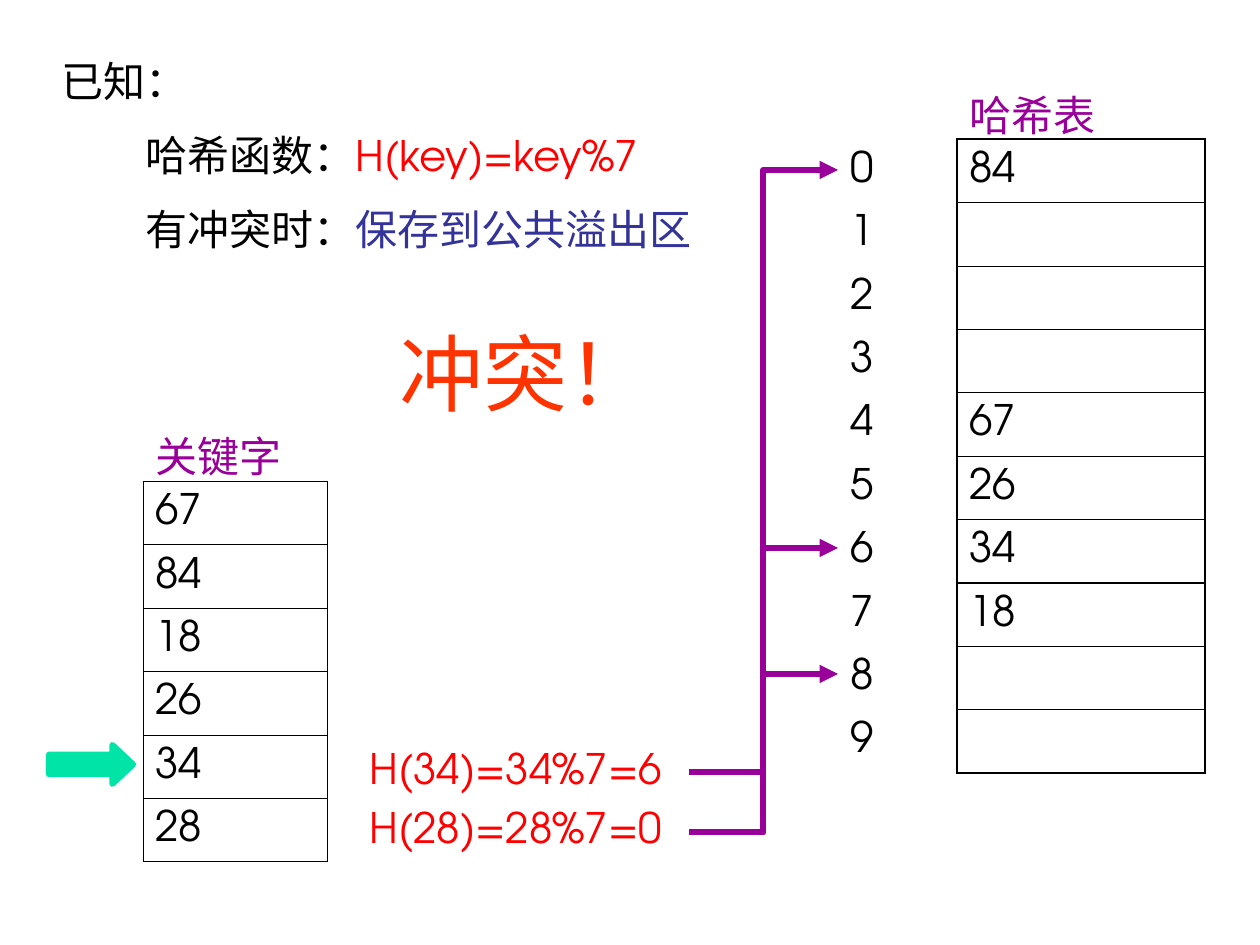
from dataclasses import dataclass, field

from lxml.etree import SubElement
from pptx import Presentation
from pptx.dml.color import RGBColor
from pptx.enum.shapes import MSO_CONNECTOR, MSO_SHAPE
from pptx.enum.text import MSO_ANCHOR, PP_ALIGN
from pptx.oxml.ns import qn
from pptx.util import Emu, Pt

PX_PER_INCH = 126
FONT = "TeX Gyre Adventor"
BLACK = RGBColor(0x00, 0x00, 0x00)
RED = RGBColor(0xFF, 0x00, 0x00)
BLUE = RGBColor(0x33, 0x33, 0x99)
PURPLE = RGBColor(0x99, 0x00, 0x99)
ORANGE = RGBColor(0xFF, 0x33, 0x00)
GREEN = RGBColor(0x00, 0xE4, 0xA8)
THIN, THICK = 0.45, 1.47
ARROW_WIDTH = 3.5


@dataclass
class Label:
    box: tuple[int, int, int, int]
    runs: list[tuple[str, RGBColor]]
    indent: int = 0
    size: int = 24
    align: PP_ALIGN = PP_ALIGN.JUSTIFY
    space_before: int = 15
    anchor: MSO_ANCHOR = MSO_ANCHOR.TOP
    wrap: bool = True


@dataclass
class Cell:
    """Table cell; edges maps L, R, T, B to a width in points, others are unruled."""
    text: str
    edges: dict[str, float] = field(default_factory=dict)
    color: RGBColor = BLACK


@dataclass
class Grid:
    box: tuple[int, int, int, int]
    col_widths: list[int]
    rows: list[list[Cell]]


@dataclass
class Route:
    start_y: int
    end_y: int


KNOWN_LEFT, KNOWN_TOP, KNOWN_STEP = 49, 49, 74
KNOWN = [
    (0, [("已知：", BLACK)]),
    (84, [("哈希函数：", BLACK), ("H(key)=key%7", RED)]),
    (84, [("有冲突时：", BLACK), ("保存到公共溢出区", BLUE)]),
]
CALCULATIONS = [(736, "H(34)=34%7=6"), (795, "H(28)=28%7=0")]
KEYS = ["67", "84", "18", "26", "34", "28"]
HASH_SLOTS = ["84", "", "", "", "67", "26", "34", "18", "", ""]
MODULUS = 7
ROUTES = [Route(772, 548), Route(832, 170), Route(832, 674)]
ROUTE_LEFT, ROUTE_RIGHT = 689, 838


def px(length: float) -> Emu:
    return Emu(round(length * 914400 / PX_PER_INCH))


def format_run(run, size: int, color: RGBColor) -> None:
    run.font.name = FONT
    run.font.size = Pt(size)
    run.font.color.rgb = color


def add_label(slide, label: Label) -> None:
    frame = slide.shapes.add_textbox(*map(px, label.box)).text_frame
    frame.word_wrap = label.wrap
    frame.vertical_anchor = label.anchor
    paragraph = frame.paragraphs[0]
    paragraph.alignment = label.align
    paragraph.space_before = Pt(label.space_before)
    if label.indent:
        paragraph_props = paragraph._p.get_or_add_pPr()
        paragraph_props.set("marL", str(px(label.indent)))
        paragraph_props.set("indent", "0")
    for text, color in label.runs:
        run = paragraph.add_run()
        run.text = text
        format_run(run, label.size, color)


def rule_cell(cell, edges: dict[str, float]) -> None:
    """Draw the given cell borders and blank out the remaining ones."""
    cell_props = cell._tc.get_or_add_tcPr()
    for side in "LRTB":
        width = edges.get(side, 0)
        border = SubElement(cell_props, qn(f"a:ln{side}"), w=str(Pt(width)))
        if width:
            fill = SubElement(border, qn("a:solidFill"))
            SubElement(fill, qn("a:srgbClr"), val=str(BLACK))
        else:
            SubElement(border, qn("a:noFill"))


def add_grid(slide, grid: Grid) -> None:
    table = slide.shapes.add_table(
        len(grid.rows), len(grid.col_widths), *map(px, grid.box)).table
    table.first_row = table.horz_banding = False
    for column, width in zip(table.columns, grid.col_widths):
        column.width = px(width)
    for row_index, row in enumerate(grid.rows):
        table.rows[row_index].height = px(grid.box[3] / len(grid.rows))
        for col_index, content in enumerate(row):
            cell = table.cell(row_index, col_index)
            rule_cell(cell, content.edges)
            cell.fill.background()
            cell.vertical_anchor = MSO_ANCHOR.MIDDLE
            if content.text:
                cell.text_frame.text = content.text
                paragraph = cell.text_frame.paragraphs[0]
                paragraph.space_before = Pt(6)
                format_run(paragraph.runs[0], 24, content.color)


def key_grid() -> Grid:
    boxed = dict.fromkeys("LRTB", THIN)
    rows = [[Cell("关键字", {"B": THIN}, PURPLE)]]
    rows += [[Cell(key, boxed)] for key in KEYS]
    return Grid((143, 418, 184, 444), [184], rows)


def hash_grid() -> Grid:
    """Ten slots, with thick rules around the hashed part and the overflow part."""
    part_starts = {0, MODULUS, len(HASH_SLOTS)}
    rows = [[Cell(""), Cell("哈希表", {"B": THICK}, PURPLE)]]
    for index, key in enumerate(HASH_SLOTS):
        edges = {
            "L": THICK,
            "R": THICK,
            "T": THICK if index in part_starts else THIN,
            "B": THICK if index + 1 in part_starts else THIN,
        }
        rows.append([Cell(str(index), {"R": THICK}), Cell(key, edges)])
    return Grid((838, 76, 367, 697), [119, 248], rows)


def add_route(slide, route: Route) -> None:
    connector = slide.shapes.add_connector(
        MSO_CONNECTOR.ELBOW, px(ROUTE_LEFT), px(route.start_y),
        px(ROUTE_RIGHT), px(route.end_y))
    connector.line.color.rgb = PURPLE
    connector.line.width = Pt(ARROW_WIDTH)
    SubElement(connector.line._get_or_add_ln(), qn("a:tailEnd"), type="triangle")
    SubElement(connector._element.spPr, qn("a:effectLst"))


def add_pointer(slide) -> None:
    pointer = slide.shapes.add_shape(
        MSO_SHAPE.RIGHT_ARROW, px(49), px(745), px(84), px(39))
    pointer.adjustments[1] = 0.53
    pointer.shadow.inherit = False
    pointer.fill.solid()
    pointer.fill.fore_color.rgb = GREEN
    pointer.line.color.rgb = GREEN
    pointer.line.width = Pt(ARROW_WIDTH)


def main() -> None:
    presentation = Presentation()
    presentation.slide_width = px(1260)
    presentation.slide_height = px(945)
    slide = presentation.slides.add_slide(presentation.slide_layouts[6])

    for line, (indent, runs) in enumerate(KNOWN):
        top = KNOWN_TOP + line * KNOWN_STEP
        add_label(slide, Label((KNOWN_LEFT, top, 1140, KNOWN_STEP), runs, indent))
    add_grid(slide, key_grid())
    add_pointer(slide)
    add_grid(slide, hash_grid())
    for top, formula in CALCULATIONS:
        add_label(slide, Label((357, top, 332, 74), [(formula, RED)]))
    add_label(slide, Label(
        (372, 314, 292, 115), [("冲突！", ORANGE)], size=48, align=PP_ALIGN.RIGHT,
        space_before=0, anchor=MSO_ANCHOR.MIDDLE, wrap=False))
    for route in ROUTES:
        add_route(slide, route)
    presentation.save("out.pptx")


if __name__ == "__main__":
    main()
